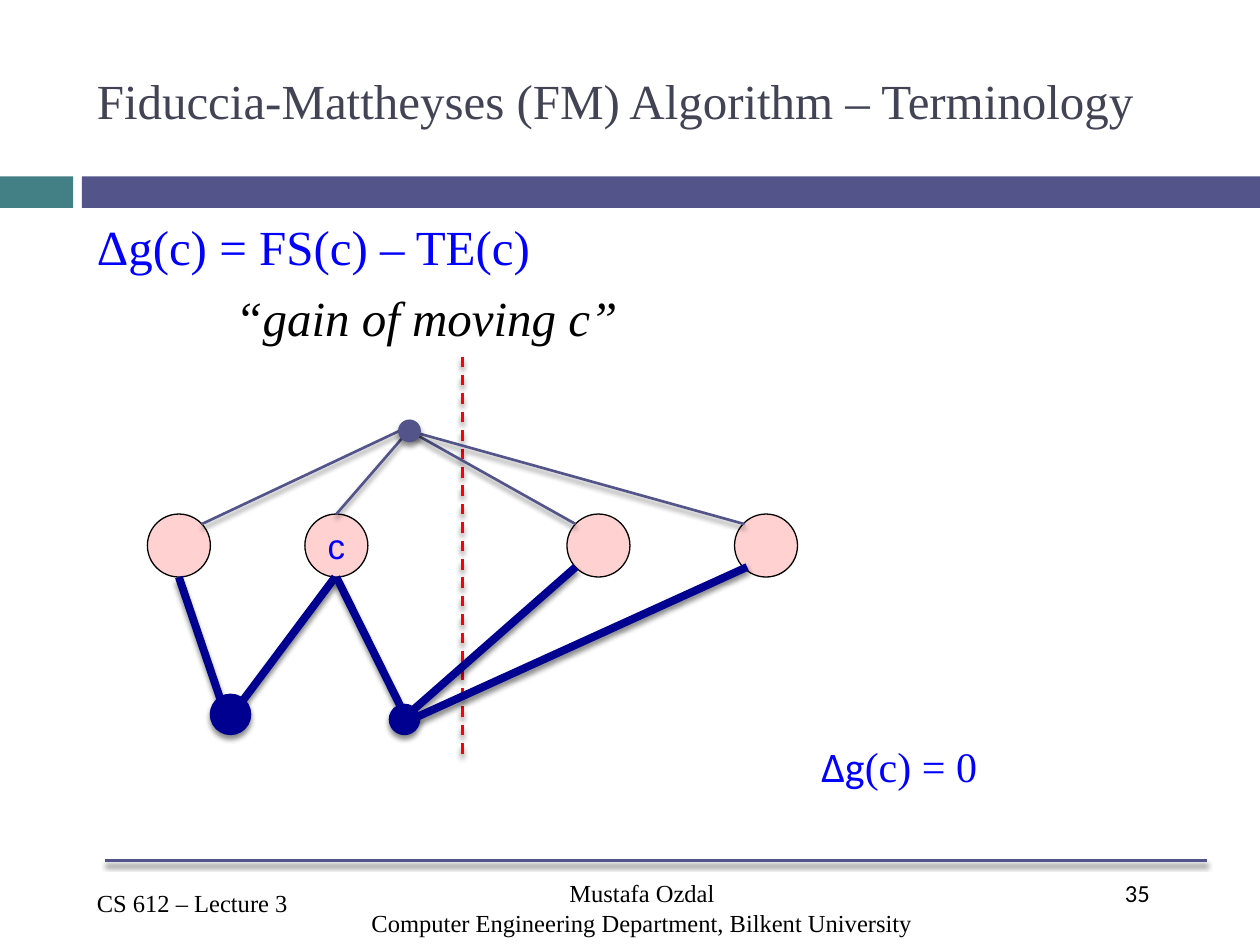
from dataclasses import dataclass

from lxml import etree
from pptx import Presentation
from pptx.dml.color import RGBColor
from pptx.enum.dml import MSO_LINE
from pptx.enum.shapes import MSO_CONNECTOR, MSO_SHAPE
from pptx.enum.text import MSO_ANCHOR, PP_ALIGN
from pptx.oxml import parse_xml
from pptx.oxml.ns import nsdecls, qn
from pptx.util import Inches, Pt

RECT, OVAL = MSO_SHAPE.RECTANGLE, MSO_SHAPE.OVAL
STRAIGHT, DASH = MSO_CONNECTOR.STRAIGHT, MSO_LINE.DASH
TOP, MIDDLE = MSO_ANCHOR.TOP, MSO_ANCHOR.MIDDLE
LEFT, CENTER = PP_ALIGN.LEFT, PP_ALIGN.CENTER
SERIF, SANS, BODY = "Times New Roman", "Arial", "Calibri"
TEAL, PURPLE, SLATE = "438086", "53548A", "424456"
BLACK, BLUE, NAVY, RED, PINK = "000000", "0000FF", "000090", "FF0000", "FFD1D1"


@dataclass
class Line:
    x1: float
    y1: float
    x2: float
    y2: float
    color: str = PURPLE
    width: float = 1.5
    dashed: bool = False


@dataclass
class Dot:
    x: float
    y: float
    size: float
    fill: str
    outline: str = ""
    width: float = 0.75
    shadow: bool = True


@dataclass
class Text:
    x: float
    y: float
    w: float
    h: float
    lines: tuple
    size: float
    color: str = BLACK
    font: str = SERIF
    align: int = LEFT
    anchor: int = TOP
    space: float = 0
    wrap: bool = True


def rgb(color: str) -> RGBColor:
    return RGBColor.from_string(color)


def add_shadow(sp) -> None:
    sppr = sp._element.spPr
    for old in sppr.findall(qn("a:effectLst")):
        sppr.remove(old)
    effects = etree.SubElement(sppr, qn("a:effectLst"))
    effects.append(parse_xml(
        f'<a:outerShdw {nsdecls("a")} blurRad="{Pt(3)}" dist="{Pt(2.4)}" '
        'dir="5400000" rotWithShape="0"><a:srgbClr val="000000">'
        '<a:alpha val="45000"/></a:srgbClr></a:outerShdw>'))


def add_bar(s, x: float, w: float, color: str) -> None:
    sp = s.shapes.add_shape(RECT, Inches(x), Inches(1.4), Inches(w), Inches(0.25))
    sp.shadow.inherit = False
    sp.fill.solid()
    sp.fill.fore_color.rgb = rgb(color)
    sp.line.fill.background()


def add_line(s, line: Line) -> None:
    cx = s.shapes.add_connector(STRAIGHT, Inches(line.x1), Inches(line.y1),
                                Inches(line.x2), Inches(line.y2))
    cx.line.color.rgb = rgb(line.color)
    cx.line.width = Pt(line.width)
    if line.dashed:
        cx.line.dash_style = DASH
    add_shadow(cx)


def add_dot(s, dot: Dot):
    sp = s.shapes.add_shape(OVAL, Inches(dot.x - dot.size / 2), Inches(dot.y - dot.size / 2),
                            Inches(dot.size), Inches(dot.size))
    sp.shadow.inherit = False
    sp.fill.solid()
    sp.fill.fore_color.rgb = rgb(dot.fill)
    if dot.outline:
        sp.line.color.rgb = rgb(dot.outline)
        sp.line.width = Pt(dot.width)
    else:
        sp.line.fill.background()
    if dot.shadow:
        add_shadow(sp)
    return sp


def set_font(font, size: float, color: str, name: str) -> None:
    font.size = Pt(size)
    font.color.rgb = rgb(color)
    font.name = name


def add_text(s, text: Text):
    tb = s.shapes.add_textbox(Inches(text.x), Inches(text.y), Inches(text.w), Inches(text.h))
    tf = tb.text_frame
    tf.word_wrap = text.wrap
    tf.vertical_anchor = text.anchor
    for i, line in enumerate(text.lines):
        p = tf.paragraphs[0] if i == 0 else tf.add_paragraph()
        p.text = line
        p.alignment = text.align
        p.space_before = Pt(text.space)
        set_font(p.font, text.size, text.color, text.font)
    return tf


def add_label(sp, label: str) -> None:
    tf = sp.text_frame
    tf.margin_left = tf.margin_right = tf.margin_top = tf.margin_bottom = 0
    tf.word_wrap = False
    tf.vertical_anchor = MIDDLE
    p = tf.paragraphs[0]
    p.text = label
    p.alignment = CENTER
    set_font(p.font, 20, BLUE, SANS)


def add_frame(s) -> None:
    add_bar(s, 0, 0.58, TEAL)
    add_bar(s, 0.65, 9.35, PURPLE)
    add_line(s, Line(0.83, 6.83, 9.58, 6.83))
    add_text(s, Text(8.83, 6.92, 0.75, 0.5, ("35",), 14, font=BODY))
    add_text(s, Text(0.67, 7, 1.83, 0.34, ("CS 612 – Lecture 3",), 14))
    add_text(s, Text(1.67, 6.92, 6.85, 0.58,
                     ("Mustafa Ozdal", "Computer Engineering Department, Bilkent University"),
                     14, align=CENTER))
    add_text(s, Text(0.67, 0.25, 8.92, 1.08,
                     ("Fiduccia-Mattheyses (FM) Algorithm – Terminology",), 28, SLATE,
                     anchor=MIDDLE))


def add_formulas(s) -> None:
    tf = add_text(s, Text(0.67, 1.67, 8.92, 1.08,
                          ("Δg(c) = FS(c) – TE(c)", "“gain of moving c”"), 28, BLUE, space=7))
    p = tf.paragraphs[1]
    p.font.italic = True
    p.font.color.rgb = rgb(BLACK)
    p._p.get_or_add_pPr().set("marL", str(Inches(1.1)))
    tf = add_text(s, Text(6.42, 5.83, 1.62, 0.5, ("Δg",), 24, BLUE, BODY, wrap=False))
    r = tf.paragraphs[0].add_run()
    r.text = "(c) = 0"
    r.font.name = SERIF


def add_graph(s) -> None:
    for x, label in ((1.42, ""), (2.67, "c"), (4.75, ""), (6.08, "")):
        sp = add_dot(s, Dot(x, 4.33, 0.5, PINK, BLACK, shadow=False))
        if label:
            add_label(sp, label)
    add_line(s, Line(3.67, 2.83, 3.67, 6, RED, dashed=True))
    for ends in ((2.67, 4.08, 3.19, 3.48), (1.6, 4.16, 3.17, 3.42),
                 (3.25, 3.42, 4.57, 4.16), (3.25, 3.42, 5.91, 4.16)):
        add_line(s, Line(*ends))
    add_dot(s, Dot(3.25, 3.42, 0.17, PURPLE, PURPLE, 0.79))
    for ends in ((1.42, 4.58, 1.77, 5.61), (1.89, 5.61, 2.66, 4.58),
                 (2.67, 4.58, 3.25, 5.75), (3.25, 5.66, 4.57, 4.5),
                 (3.31, 5.69, 5.93, 4.5)):
        add_line(s, Line(*ends, NAVY, 4.5))
    add_dot(s, Dot(1.83, 5.67, 0.33, NAVY))
    add_dot(s, Dot(3.21, 5.71, 0.25, NAVY))


def main() -> None:
    prs = Presentation()
    prs.slide_width, prs.slide_height = Inches(10), Inches(7.5)
    s = prs.slides.add_slide(prs.slide_layouts[6])
    add_frame(s)
    add_formulas(s)
    add_graph(s)
    prs.save("out.pptx")


if __name__ == "__main__":
    main()
